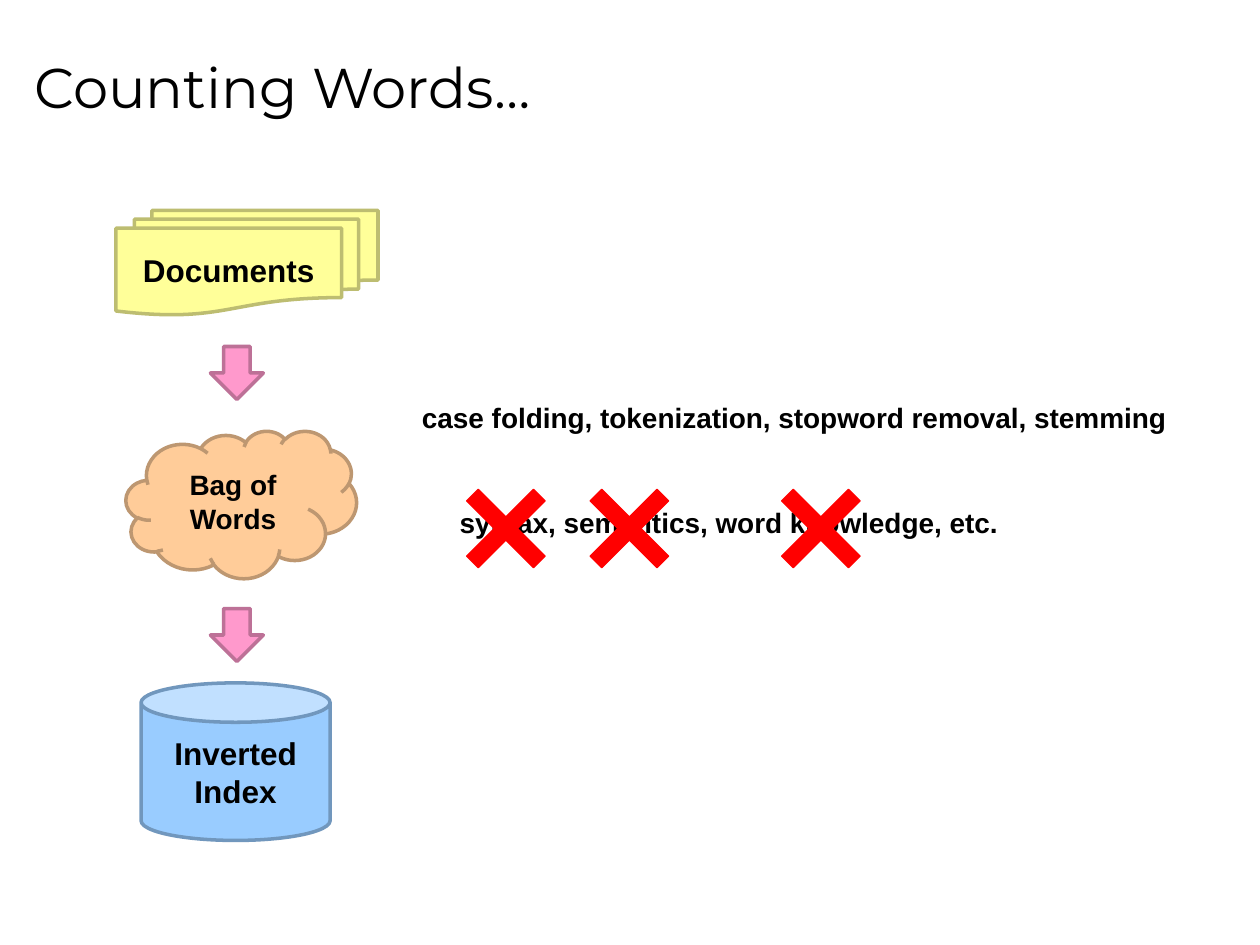
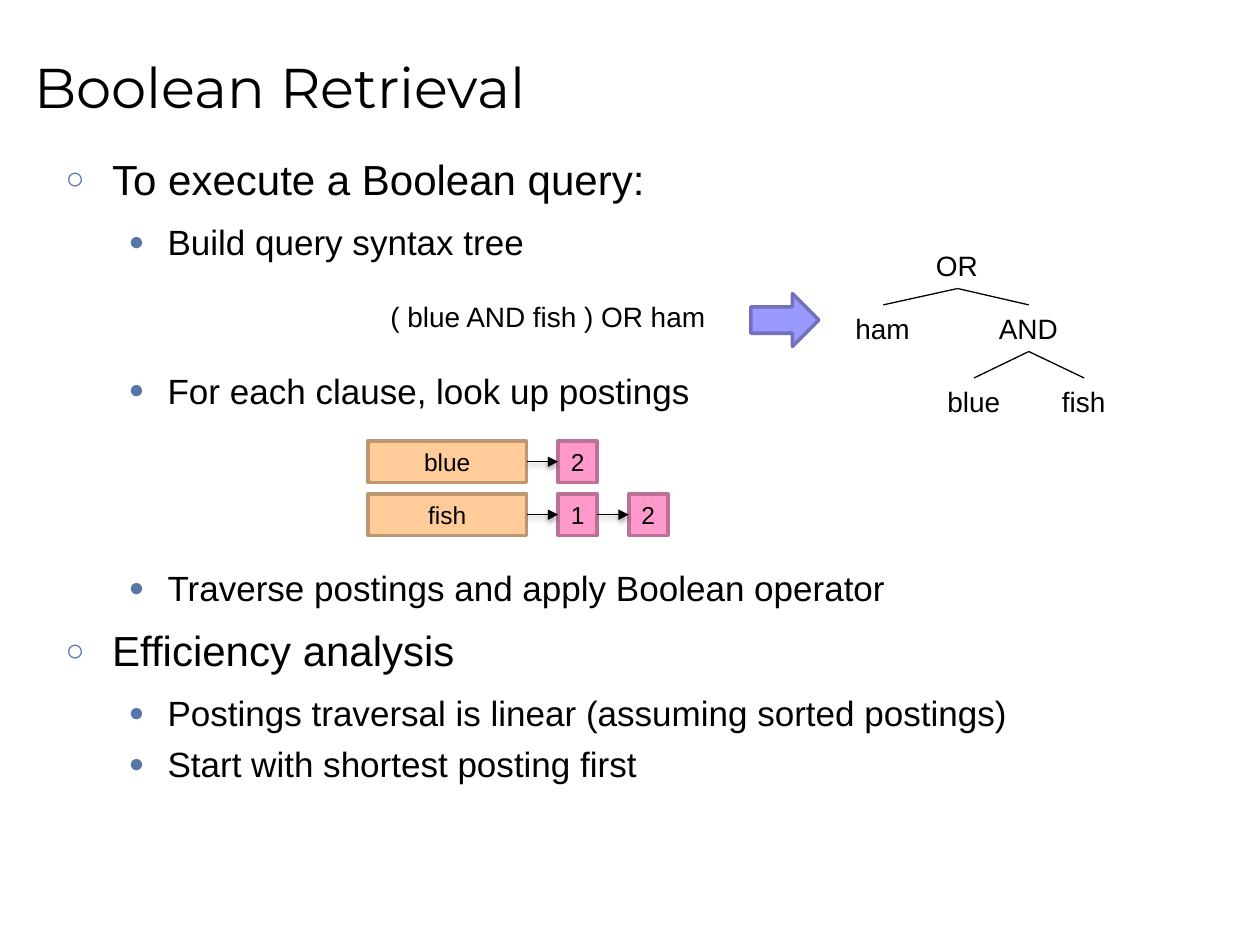
from lxml import etree
from pptx import Presentation
from pptx import util as u
from pptx.dml.color import RGBColor
from pptx.enum import shapes, text
from pptx.oxml import parse_xml
from pptx.oxml.ns import nsdecls, qn

I = u.Inches
SHAPE = shapes.MSO_SHAPE
BLACK, RED, BULLET = "000000", "FF0000", "5675A9"
YELLOW = ("FFFF99", "BDBD71")
BLUE = ("99CCFF", "7197BD")
ORANGE = ("FFCC99", "BD9771")
PINK = ("FF99CC", "BD7197")
VIOLET = ("9999FF", "7171BD")
TITLE_BOX = (0.17, 0.12, 9.5, 1.12)
LEVELS = [
    dict(size=24, margin=0.37, hang=0.37, space=7, char="○"),
    dict(size=20, margin=0.81, hang=0.31, space=2.4, char="●"),
]
SKIPPED_LINE = 28
SHADOW = (
    f'<a:effectLst {nsdecls("a")}><a:outerShdw blurRad="39400" dist="20300" dir="5400000">'
    '<a:srgbClr val="000000"><a:alpha val="38000"/></a:srgbClr></a:outerShdw></a:effectLst>'
)


def rgb(value):
    return RGBColor.from_string(value)


def add_run(p, words, size, bold=False, font="Arial"):
    r = p.add_run()
    r.text = words
    r.font.name, r.font.size, r.font.bold = font, u.Pt(size), bold
    r.font.color.rgb = rgb(BLACK)


def place(sp, box):
    sp.left, sp.top, sp.width, sp.height = map(I, box)


def add_title(sl, words):
    sp = sl.shapes.title
    place(sp, TITLE_BOX)
    tf = sp.text_frame
    tf.auto_size = text.MSO_AUTO_SIZE.NONE
    tf.vertical_anchor = text.MSO_ANCHOR.MIDDLE
    p = tf.paragraphs[0]
    p.alignment = text.PP_ALIGN.LEFT
    add_run(p, words, 32, font="Montserrat")


def add_block(sl, kind, box, colors, lines=(), size=18, bold=False, wrap=False, width=2):
    sp = sl.shapes.add_shape(kind, *map(I, box))
    sp.shadow.inherit = False
    sp.fill.solid()
    sp.fill.fore_color.rgb = rgb(colors[0])
    sp.line.color.rgb = rgb(colors[1])
    sp.line.width = u.Pt(width)
    tf = sp.text_frame
    tf.word_wrap = wrap
    tf.vertical_anchor = text.MSO_ANCHOR.MIDDLE
    for i, line in enumerate(lines):
        p = tf.add_paragraph() if i else tf.paragraphs[0]
        p.alignment = text.PP_ALIGN.CENTER
        add_run(p, line, size, bold)
    return sp


def add_label(sl, words, left, top, width, bold=False):
    sp = sl.shapes.add_textbox(I(left), I(top), I(width), I(0.37))
    tf = sp.text_frame
    tf.word_wrap = False
    tf.auto_size = text.MSO_AUTO_SIZE.SHAPE_TO_FIT_TEXT
    add_run(tf.paragraphs[0], words, 16, bold)
    return sp


def join(sl, start, start_side, end, end_side, arrow=False):
    cxn = sl.shapes.add_connector(shapes.MSO_CONNECTOR.STRAIGHT, 0, 0, 0, 0)
    cxn.begin_connect(start, start_side)
    cxn.end_connect(end, end_side)
    cxn.line.color.rgb = rgb(BLACK)
    cxn.line.width = u.Pt(0.75)
    sp_pr = cxn._element.spPr
    if arrow:
        etree.SubElement(cxn.line._get_or_add_ln(), qn("a:tailEnd"), type="triangle")
        sp_pr.append(parse_xml(SHADOW))
    else:
        etree.SubElement(sp_pr, qn("a:effectLst"))


def add_bullet(p, words, level, skipped=0, first=False):
    style = LEVELS[level]
    p.level = level
    p.space_before = u.Pt(0 if first else style["space"] + skipped * SKIPPED_LINE)
    p.space_after = u.Pt(style["space"])
    p_pr = p._p.get_or_add_pPr()
    p_pr.set("marL", str(I(style["margin"])))
    p_pr.set("indent", str(-I(style["hang"])))
    color = etree.SubElement(p_pr, qn("a:buClr"))
    etree.SubElement(color, qn("a:srgbClr"), val=BULLET)
    etree.SubElement(p_pr, qn("a:buSzPct"), val="75000")
    etree.SubElement(p_pr, qn("a:buFont"), typeface="Arial")
    etree.SubElement(p_pr, qn("a:buChar"), char=style["char"])
    add_run(p, words, style["size"])


def add_outline(sl, box, items):
    sp = sl.placeholders[1]
    place(sp, box)
    tf = sp.text_frame
    tf.auto_size = text.MSO_AUTO_SIZE.NONE
    for i, (level, words, skipped) in enumerate(items):
        p = tf.add_paragraph() if i else tf.paragraphs[0]
        add_bullet(p, words, level, skipped, first=i == 0)


def add_pipeline(sl, x, y):
    add_block(sl, SHAPE.FLOWCHART_MULTIDOCUMENT, (x, y, 2.08, 0.83), YELLOW,
              ["Documents"], bold=True)
    can = add_block(sl, SHAPE.CAN, (x + 0.2, y + 3.75, 1.5, 1.25), BLUE,
                    ["Inverted", "Index"], bold=True)
    can.adjustments[0] = 0.25
    add_block(sl, SHAPE.CLOUD, (x + 0.08, y + 1.75, 1.83, 1.17), ORANGE,
              ["Bag of Words"], size=16, bold=True, wrap=True)
    for drop in (1.08, 3.16):
        arrow = add_block(sl, SHAPE.RIGHT_ARROW, (x + 0.75, y + drop, 0.42, 0.42), PINK)
        arrow.rotation = 90


def add_word_features(sl, x, y):
    add_label(sl, "case folding, tokenization, stopword removal, stemming", x, y, 6.19, True)
    add_label(sl, "syntax, semantics, word knowledge, etc.", x + 0.3, y + 0.83, 4.53, True)
    for offset in (0.39, 1.37, 2.89):
        cross = add_block(sl, SHAPE.CROSS, (x + offset, y + 0.69, 0.75, 0.75),
                          (RED, RED), width=0.75)
        cross.adjustments[0] = 0.413
        cross.rotation = 45


def add_syntax_tree(sl, x, y):
    nodes = {
        words: add_label(sl, words, x + dx, y + dy, width)
        for words, dx, dy, width in [
            ("blue", 0.73, 1.08, 0.62),
            ("fish", 1.64, 1.08, 0.55),
            ("AND", 1.14, 0.5, 0.67),
            ("ham", 0, 0.5, 0.64),
            ("OR", 0.64, 0, 0.54),
        ]
    }
    for parent, child in [("OR", "ham"), ("OR", "AND"), ("AND", "fish"), ("AND", "blue")]:
        join(sl, nodes[parent], 2, nodes[child], 0)


def add_postings(sl, x, y, rows):
    for i, (term, postings) in enumerate(rows):
        top = y + i * 0.42
        last = add_block(sl, SHAPE.RECTANGLE, (x, top, 1.26, 0.33), ORANGE, [term], 14)
        for j, posting in enumerate(postings):
            cell = add_block(sl, SHAPE.RECTANGLE, (x + 1.51 + j * 0.56, top, 0.31, 0.33),
                             PINK, [posting], 14)
            join(sl, last, 3, cell, 1, arrow=True)
            last = cell


def counting_words(prs):
    sl = prs.slides.add_slide(prs.slide_layouts[5])
    add_title(sl, "Counting Words…")
    add_pipeline(sl, 0.92, 1.67)
    add_word_features(sl, 3.25, 3.13)


def boolean_retrieval(prs):
    sl = prs.slides.add_slide(prs.slide_layouts[1])
    add_title(sl, "Boolean Retrieval")
    add_outline(sl, (0.42, 1.17, 9.25, 5.58), [
        (0, "To execute a Boolean query:", 0),
        (1, "Build query syntax tree", 0),
        (1, "For each clause, look up postings", 2),
        (1, "Traverse postings and apply Boolean operator", 3),
        (0, "Efficiency analysis", 0),
        (1, "Postings traversal is linear (assuming sorted postings)", 0),
        (1, "Start with shortest posting first", 0),
    ])
    add_label(sl, "( blue AND fish ) OR ham", 3, 2.33, 2.73)
    add_syntax_tree(sl, 6.69, 1.92)
    add_block(sl, SHAPE.RIGHT_ARROW, (5.96, 2.33, 0.54, 0.42), VIOLET)
    add_postings(sl, 2.92, 3.5, [("blue", ["2"]), ("fish", ["1", "2"])])


def main():
    prs = Presentation()
    prs.slide_width, prs.slide_height = I(10), I(7.5)
    counting_words(prs)
    boolean_retrieval(prs)
    prs.save("out.pptx")


if __name__ == "__main__":
    main()
